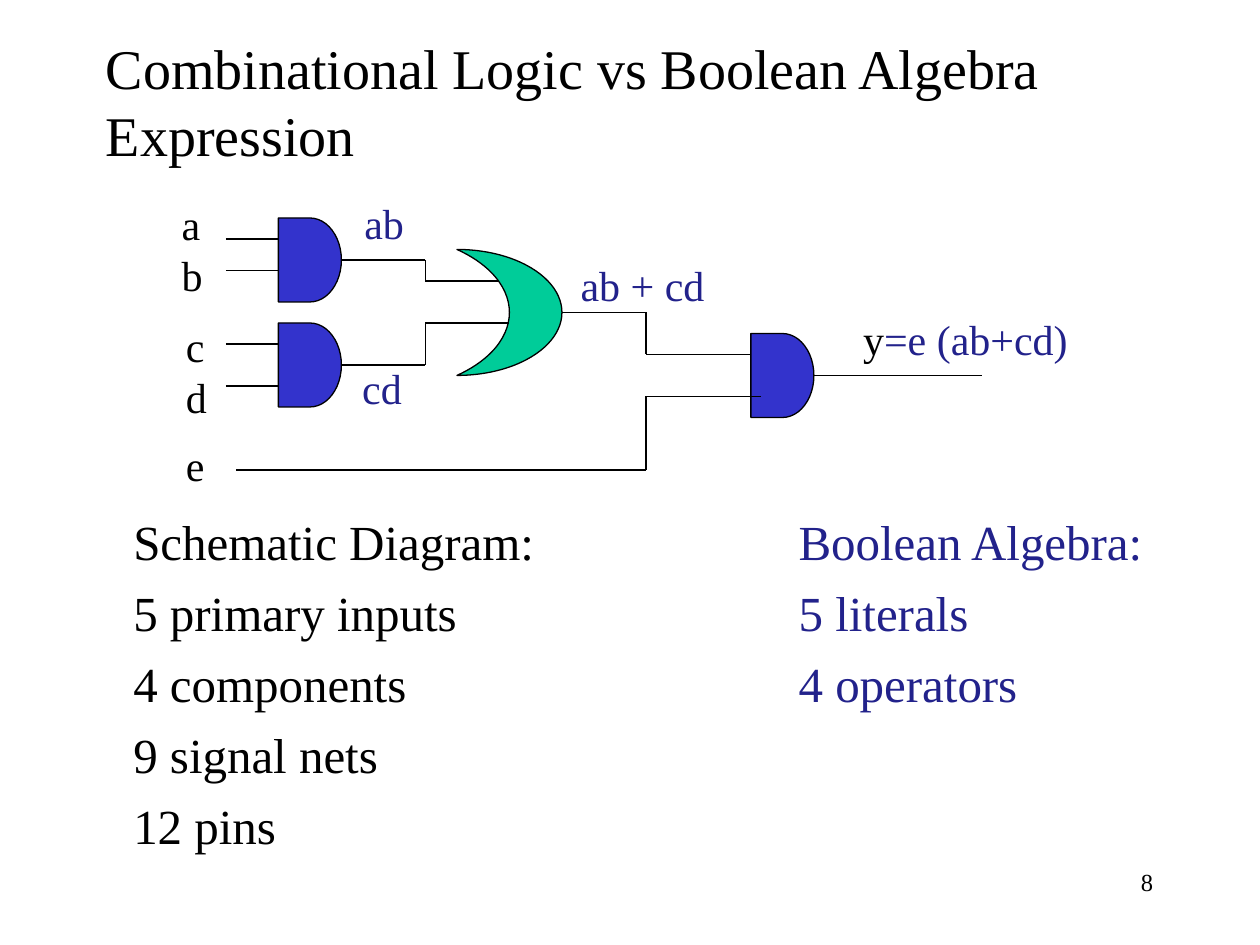
from itertools import pairwise

from lxml import etree
from pptx import Presentation
from pptx.dml.color import RGBColor
from pptx.enum.shapes import MSO_CONNECTOR, MSO_SHAPE
from pptx.enum.text import MSO_ANCHOR, MSO_AUTO_SIZE, PP_ALIGN
from pptx.oxml.ns import qn
from pptx.util import Inches, Pt

STRAIGHT = MSO_CONNECTOR.STRAIGHT
DELAY, MOON = MSO_SHAPE.FLOWCHART_DELAY, MSO_SHAPE.MOON
TOP, MIDDLE = MSO_ANCHOR.TOP, MSO_ANCHOR.MIDDLE
LEFT, RIGHT = PP_ALIGN.LEFT, PP_ALIGN.RIGHT
FIXED = MSO_AUTO_SIZE.NONE

FONT = "Times New Roman"
BLACK, NAVY, BLUE, GREEN = "000000", "22228B", "3333CC", "00CC99"
UNIT = 1 / 12


def rgb(value):
    return RGBColor.from_string(value)


def box(x, y, w, h):
    return [Inches(v) for v in (x, y, w, h)]


def write(shape, paragraphs, size=24, color=BLACK, align=LEFT, anchor=TOP,
          wrap=True, before=0, hang=0, inset=0.05):
    tf = shape.text_frame
    tf.auto_size, tf.word_wrap, tf.vertical_anchor = FIXED, wrap, anchor
    tf.margin_top = Inches(inset)
    for i, runs in enumerate(paragraphs):
        p = tf.add_paragraph() if i else tf.paragraphs[0]
        p.alignment = align
        p.space_before = Pt(before if i else 0)
        if hang:
            pPr = p._p.get_or_add_pPr()
            pPr.set("marL", str(Inches(hang)))
            pPr.set("indent", str(-Inches(hang)))
        for text, run_color in [(runs, color)] if isinstance(runs, str) else runs:
            r = p.add_run()
            r.text = text
            r.font.name, r.font.size = FONT, Pt(size)
            r.font.color.rgb = rgb(run_color)


def add_text(shapes, bounds, paragraphs, **fmt):
    write(shapes.add_textbox(*box(*bounds)), paragraphs, **fmt)


def add_title(s, bounds, text):
    title = s.shapes.title
    title.left, title.top, title.width, title.height = box(*bounds)
    write(title, [text], size=32, anchor=MIDDLE)


def add_list(s, bounds, lines, color):
    add_text(s.shapes, bounds, lines, size=28, color=color,
             before=7, hang=0.38, inset=0.1)


def add_circuit(s, left, top):
    shapes = s.shapes.add_group_shape().shapes

    def at(col, row):
        return Inches(left + col * UNIT), Inches(top + row * UNIT)

    def gate(kind, col, row, cols, rows, fill):
        sp = shapes.add_shape(kind, *at(col, row),
                              Inches(cols * UNIT), Inches(rows * UNIT))
        sp.shadow.inherit = False
        sp.fill.solid()
        sp.fill.fore_color.rgb = rgb(fill)
        sp.line.color.rgb = rgb(BLACK)
        sp.line.width = Pt(0.75)
        return sp

    def wire(*points, source=None):
        for i, (start, end) in enumerate(pairwise(points)):
            c = shapes.add_connector(STRAIGHT, *at(*start), *at(*end))
            c.line.color.rgb = rgb(BLACK)
            c.line.width = Pt(0.75)
            etree.SubElement(c._element.spPr, qn("a:effectLst"))
            if source is not None and i == 0:
                c.begin_connect(source, 3)

    and_ab, and_cd, and_y = [
        gate(DELAY, col, row, 6, 8, BLUE)
        for col, row in ((0, 0), (0, 10), (45, 11))]
    or_gate = gate(MOON, 17, 3, 10, 12, GREEN)
    or_gate.adjustments[0] = 0.5
    or_gate._element.spPr.find(qn("a:xfrm")).set("flipH", "1")

    for row in (2, 5, 12, 16):
        wire((-5, row), (0, row))
    wire((6, 4), (14, 4), (14, 6), (21, 6), source=and_ab)
    wire((6, 14), (14, 14), (14, 10), (22, 10), source=and_cd)
    wire((27, 9), (35, 9), (35, 13), (45, 13))
    wire((-4, 24), (35, 24), (35, 17), (46, 17))
    wire((51, 15), (67, 15), source=and_y)

    labels = [
        (-10.4, -2.4, 4.4, 10.8, ["a", "b"], BLACK),
        (-10, 9.2, 4.4, 10.8, ["c", "d"], BLACK),
        (-10, 20.5, 4.2, 6, ["e"], BLACK),
        (7, -2.5, 6.2, 6, ["ab"], NAVY),
        (6.8, 13.2, 6.2, 6, ["cd"], NAVY),
        (27.6, 3.4, 14.2, 6, ["ab + cd"], NAVY),
        (54.5, 8.5, 22, 6.1, [[("y", BLACK), ("=e (ab+cd)", NAVY)]], NAVY),
    ]
    for col, row, cols, rows, lines, color in labels:
        bounds = (left + col * UNIT, top + row * UNIT, cols * UNIT, rows * UNIT)
        add_text(shapes, bounds, lines, color=color, wrap=False)


def main():
    prs = Presentation()
    prs.slide_width, prs.slide_height = Inches(10), Inches(7.5)
    s = prs.slides.add_slide(prs.slide_layouts[5])
    add_title(s, (0.74, 0.28, 8.17, 1.04),
              "Combinational Logic vs Boolean Algebra Expression")
    add_list(s, (0.96, 3.96, 4.26, 2.76),
             ["Schematic Diagram:", "5 primary inputs", "4 components",
              "9 signal nets", "12 pins"], BLACK)
    add_circuit(s, 2.21, 1.73)
    add_list(s, (6.24, 3.96, 3.04, 1.9),
             ["Boolean Algebra:", "5 literals", "4 operators"], NAVY)
    add_text(s.shapes, (7.17, 6.83, 2.08, 0.5), ["8"], size=14, align=RIGHT)
    prs.save("out.pptx")


if __name__ == "__main__":
    main()
